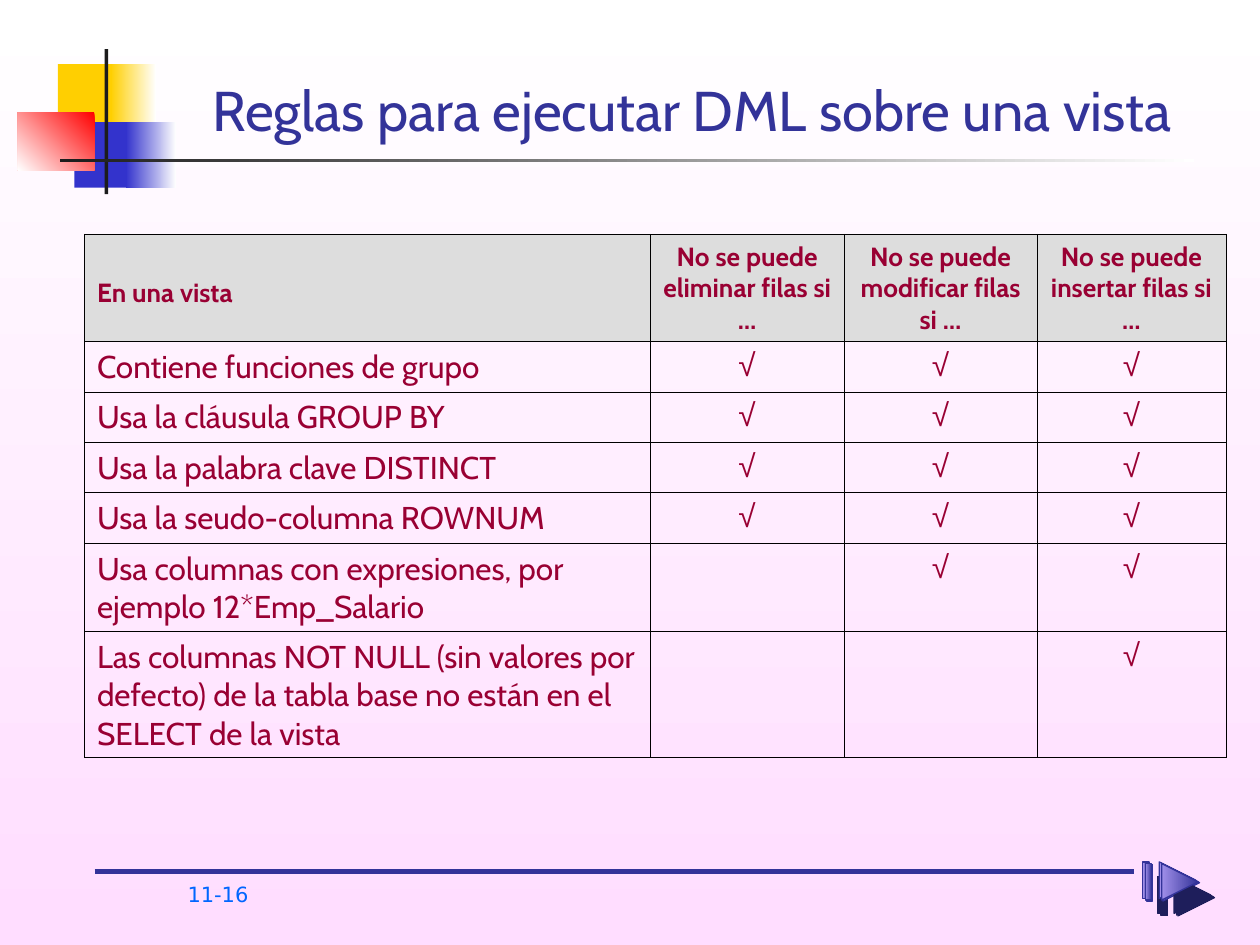
from lxml.etree import SubElement
from pptx import Presentation
from pptx.dml.color import RGBColor
from pptx.enum.shapes import MSO_CONNECTOR, MSO_SHAPE
from pptx.enum.text import MSO_ANCHOR, PP_ALIGN
from pptx.oxml import parse_xml
from pptx.oxml.ns import nsdecls, qn
from pptx.util import Inches, Pt

HUES = {
    "white": "FFFFFF", "pink": "FFDDFF", "gold": "FFCF01", "blue": "3333CC",
    "red": "FF0000", "dark": "1C1C1C", "navy": "333399", "lilac": "A08FE9",
    "shade": "1E1E5B", "link": "0066FF", "wine": "990033", "grey": "DDDDDD",
    "black": "000000",
}
HEADS = ["En una vista", "No se puede eliminar filas si …",
         "No se puede modificar filas si …", "No se puede insertar filas si …"]
# Rule and the number of checks, which fill from the right
RULES = [
    ("Contiene funciones de grupo", 3),
    ("Usa la cláusula GROUP BY", 3),
    ("Usa la palabra clave DISTINCT", 3),
    ("Usa la seudo-columna ROWNUM", 3),
    ("Usa columnas con expresiones, por ejemplo 12*Emp_Salario", 2),
    ("Las columnas NOT NULL (sin valores por defecto) de la tabla base "
     "no están en el SELECT de la vista", 1),
]
WIDTHS = [4.49, 1.54, 1.53, 1.5]
HEIGHTS = [0.85, 0.4, 0.4, 0.4, 0.4, 0.7, 1]


def rgb(name):
    return RGBColor.from_string(HUES[name])


def blend(fill, first, last, angle=180):
    """Two-colour gradient; the angle runs counterclockwise."""
    fill.gradient()
    fill.gradient_angle = angle
    for stop, name in zip(fill.gradient_stops, (first, last)):
        stop.color.rgb = rgb(name)


def paint(shape, hues, angle=180):
    """Fill with one colour or a gradient pair, with no line or shadow."""
    shape.shadow.inherit = False
    shape.line.fill.background()
    if len(hues) == 2:
        blend(shape.fill, *hues, angle)
    else:
        shape.fill.solid()
        shape.fill.fore_color.rgb = rgb(hues[0])


def write(frame, text, size, face, hue, bold=False, align=PP_ALIGN.LEFT):
    frame.word_wrap = True
    para = frame.paragraphs[0]
    para.text = text
    para.alignment = align
    font = para.font
    font.size, font.name, font.bold = Pt(size), face, bold
    font.color.rgb = rgb(hue)


def add_text(slide, box, *style, anchor=MSO_ANCHOR.TOP, **opts):
    frame = slide.shapes.add_textbox(*map(Inches, box)).text_frame
    frame.vertical_anchor = anchor
    write(frame, *style, **opts)


def add_mark(slide, x, y):
    """Coloured blocks crossed by two bars."""
    parts = [
        (0.32, 0.12, 0.48, 0.52, ["gold"], 180),
        (0.74, 0.12, 0.36, 0.52, ["white", "gold"], 180),
        (0.45, 0.58, 0.46, 0.52, ["blue"], 180),
        (0.86, 0.58, 0.4, 0.52, ["white", "blue"], 180),
        (0, 0.5, 0.61, 0.46, ["red", "white"], 225),
        (0.69, 0, 0.03, 1.15, ["dark"], 180),
        (0.34, 0.87, 9, 0.03, ["white", "dark"], 180),
    ]
    for dx, dy, w, h, hues, angle in parts:
        box = map(Inches, (x + dx, y + dy, w, h))
        paint(slide.shapes.add_shape(MSO_SHAPE.RECTANGLE, *box), hues, angle)


def style_icon(shape):
    paint(shape, ["navy", "lilac"])
    shape.line.color.rgb = rgb("navy")
    shape.line.width = Pt(0.75)
    shape._element.spPr.find(qn("a:effectLst")).append(parse_xml(
        f'<a:outerShdw {nsdecls("a")} blurRad="0" dist="{Pt(12.1)}" '
        f'dir="2700000" algn="ctr" rotWithShape="0">'
        f'<a:srgbClr val="{HUES["shade"]}"/></a:outerShdw>'))


def add_icon(slide, x, y):
    """Stacked bars, then stacked triangles, each slightly offset."""
    shapes = slide.shapes.add_group_shape().shapes
    steps = (0.03, 0, 0.02)
    for step in steps:
        box = map(Inches, (x + step, y + step * 0.67, 0.05, 0.29))
        style_icon(shapes.add_shape(MSO_SHAPE.RECTANGLE, *box))
    for step in steps:
        left, top = x + 0.13 + step, y + step * 0.67
        points = [(left + 0.29, top + 0.145), (left, top), (left, top + 0.29)]
        tip, *rest = [(Inches(a), Inches(b)) for a, b in points]
        pen = shapes.build_freeform(*tip)
        pen.add_line_segments(rest, close=True)
        style_icon(pen.convert_to_shape())


def add_foot(slide, x, y):
    """Rule, page number and forward icon."""
    rule = slide.shapes.add_connector(
        MSO_CONNECTOR.STRAIGHT, *map(Inches, (x, y, x + 8.25, y)))
    rule.line.color.rgb = rgb("navy")
    rule.line.width = Pt(2.75)
    SubElement(rule._element.spPr, qn("a:effectLst"))
    add_text(slide, (x + 0.64, y + 0.03, 0.86, 0.33),
             "11-16", 12, "DejaVu Sans", "link")
    add_icon(slide, x + 8.32, y - 0.08)


def edge(cell):
    props = cell._tc.get_or_add_tcPr()
    for spot, side in enumerate("LRTB"):
        props.insert(spot, parse_xml(
            f'<a:ln{side} {nsdecls("a")} w="{Pt(0.45)}"><a:solidFill>'
            f'<a:srgbClr val="{HUES["black"]}"/></a:solidFill></a:ln{side}>'))


def add_rules(slide, x, y):
    """Table of view rules."""
    rows = [HEADS] + [
        [text] + [""] * (3 - count) + ["√"] * count for text, count in RULES]
    box = map(Inches, (x, y, sum(WIDTHS), sum(HEIGHTS)))
    table = slide.shapes.add_table(len(rows), len(HEADS), *box).table
    table.first_row = table.horz_banding = False
    for col, width in zip(table.columns, WIDTHS):
        col.width = Inches(width)
    for r, (row, height) in enumerate(zip(rows, HEIGHTS)):
        table.rows[r].height = Inches(height)
        for c, text in enumerate(row):
            cell = table.cell(r, c)
            if r == 0:
                cell.fill.solid()
                cell.fill.fore_color.rgb = rgb("grey")
            else:
                cell.fill.background()
            edge(cell)
            if text:
                write(cell.text_frame, text, 18 if r else 15,
                      "Arial" if text == "√" else "Cabin", "wine",
                      bold=r == 0,
                      align=PP_ALIGN.CENTER if c else PP_ALIGN.LEFT)
                cell.text_frame.paragraphs[0].space_before = Pt(
                    4.5 if r else 3.7)
    # The first heading sits one line lower
    table.cell(0, 0).margin_top = Inches(0.34)


def main():
    deck = Presentation()
    deck.slide_width, deck.slide_height = Inches(10), Inches(7.5)
    slide = deck.slides.add_slide(deck.slide_layouts[6])
    blend(slide.background.fill, "white", "pink", 270)
    add_mark(slide, 0.14, 0.39)
    add_foot(slide, 0.75, 6.92)
    add_text(slide, (1.26, 0.36, 8.47, 0.82),
             "Reglas para ejecutar DML sobre una vista", 32, "Cabin", "navy",
             align=PP_ALIGN.CENTER, anchor=MSO_ANCHOR.BOTTOM)
    add_rules(slide, 0.67, 1.86)
    deck.save("out.pptx")


if __name__ == "__main__":
    main()
